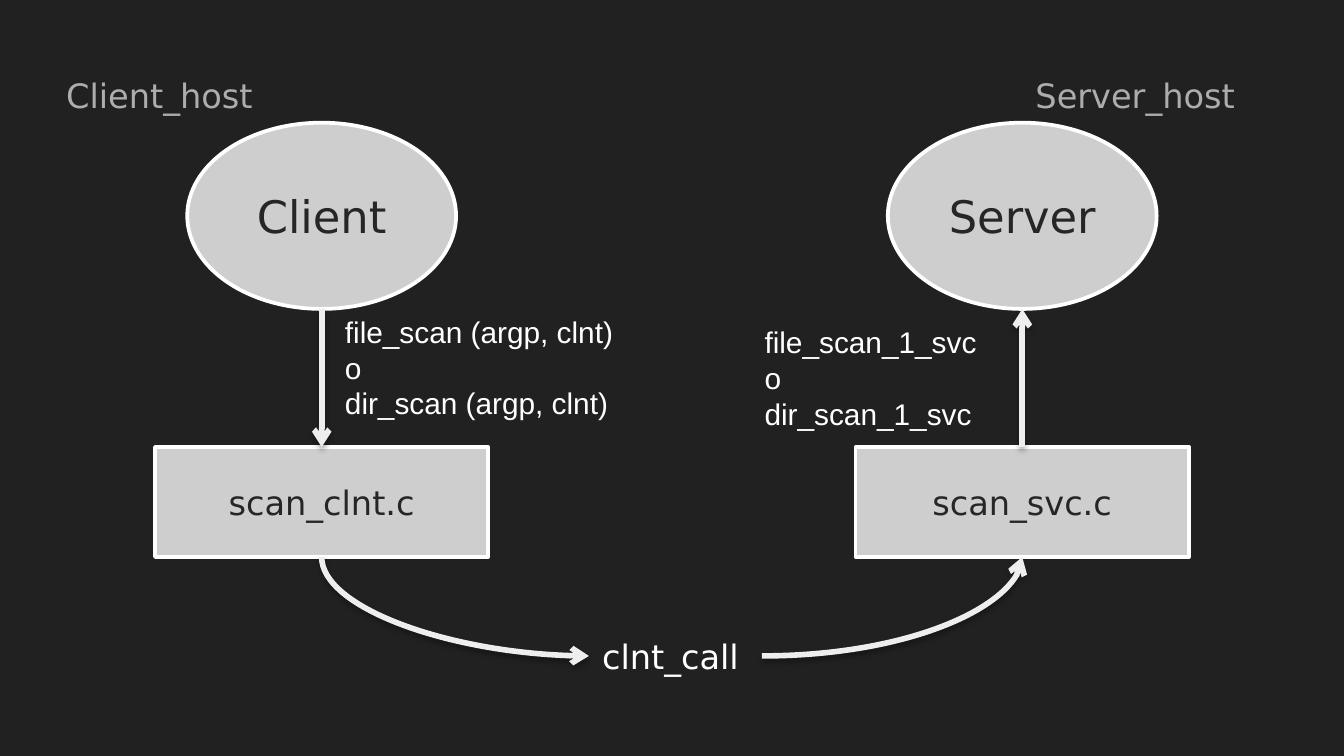
from dataclasses import dataclass

from lxml import etree
from pptx import Presentation
from pptx.dml import color
from pptx.enum import shapes, text
from pptx.oxml import ns
from pptx.util import Cm, Pt


@dataclass(frozen=True)
class Theme:
    background: str = "212121"
    fill: str = "CECECE"
    dark: str = "262626"
    light: str = "FFFFFF"
    muted: str = "ADADAD"
    arrow: str = "EEEEEE"
    sans: str = "DejaVu Sans"
    code: str = "Arial"
    large: int = 24
    medium: int = 18
    small: int = 16


THEME = Theme()
CLIENT_X, SERVER_X = 6.08, 19.32
ELLIPSE_TOP, ELLIPSE_BOTTOM = 2.32, 5.84
FILE_TOP, FILE_BOTTOM = 8.45, 10.53
CALL_LEFT, CALL_RIGHT, CALL_Y = 11.13, 14.4, 12.4


def rgb(value):
    return color.RGBColor.from_string(value)


def write(frame, lines, size, ink, font=THEME.sans, align=None):
    for index, line in enumerate(lines):
        para = frame.paragraphs[0] if index == 0 else frame.add_paragraph()
        para.alignment = align
        span = para.add_run()
        span.text = line
        span.font.size = Pt(size)
        span.font.name = font
        span.font.color.rgb = rgb(ink)


def add_node(page, kind, center, top, bottom, width, label, size):
    node = page.shapes.add_shape(
        kind, Cm(center - width / 2), Cm(top), Cm(width), Cm(bottom - top))
    node.shadow.inherit = False
    node.fill.solid()
    node.fill.fore_color.rgb = rgb(THEME.fill)
    node.line.color.rgb = rgb(THEME.light)
    node.line.width = Pt(2)
    node.text_frame.vertical_anchor = text.MSO_ANCHOR.MIDDLE
    write(node.text_frame, [label], size, THEME.dark, align=text.PP_ALIGN.CENTER)


def add_label(page, left, top, width, height, lines, size, ink, font=THEME.sans):
    box = page.shapes.add_textbox(Cm(left), Cm(top), Cm(width), Cm(height))
    box.text_frame.word_wrap = True
    box.text_frame.auto_size = text.MSO_AUTO_SIZE.SHAPE_TO_FIT_TEXT
    write(box.text_frame, lines, size, ink, font)


def add_arrow(page, start, end, kind=shapes.MSO_CONNECTOR.STRAIGHT):
    arrow = page.shapes.add_connector(kind, *map(Cm, (*start, *end)))
    arrow.line.color.rgb = rgb(THEME.arrow)
    arrow.line.width = Pt(3)
    etree.SubElement(arrow.line._get_or_add_ln(), ns.qn("a:tailEnd"), type="arrow")
    effects = etree.SubElement(arrow._element.spPr, ns.qn("a:effectLst"))
    shadow = etree.SubElement(
        effects, ns.qn("a:outerShdw"), blurRad=str(Pt(3.1)), dist=str(Pt(1.8)),
        dir="5400000", rotWithShape="0")
    tint = etree.SubElement(shadow, ns.qn("a:srgbClr"), val="000000")
    etree.SubElement(tint, ns.qn("a:alpha"), val="35000")
    return arrow


def add_curve(page, start, end, leaves_down=False):
    if leaves_down:
        middle_x, middle_y = (start[0] + end[0]) / 2, (start[1] + end[1]) / 2
        half_x, half_y = (end[0] - start[0]) / 2, (end[1] - start[1]) / 2
        start = middle_x + half_y, middle_y - half_x
        end = middle_x - half_y, middle_y + half_x
    curve = add_arrow(page, start, end, shapes.MSO_CONNECTOR.CURVE)
    properties = curve._element.spPr
    properties.find(ns.qn("a:prstGeom")).set("prst", "curvedConnector2")
    if leaves_down:
        properties.find(ns.qn("a:xfrm")).set("rot", "16200000")


def main():
    deck = Presentation()
    deck.slide_width, deck.slide_height = Cm(25.4), Cm(14.29)
    page = deck.slides.add_slide(deck.slide_layouts[6])
    page.background.fill.solid()
    page.background.fill.fore_color.rgb = rgb(THEME.background)

    for center, role, source in ((CLIENT_X, "Client", "scan_clnt.c"),
                                 (SERVER_X, "Server", "scan_svc.c")):
        add_node(page, shapes.MSO_SHAPE.OVAL, center, ELLIPSE_TOP, ELLIPSE_BOTTOM,
                 5.08, role, THEME.large)
        add_node(page, shapes.MSO_SHAPE.RECTANGLE, center, FILE_TOP, FILE_BOTTOM,
                 6.3, source, THEME.medium)

    add_arrow(page, (CLIENT_X, ELLIPSE_BOTTOM), (CLIENT_X, FILE_TOP))
    add_arrow(page, (SERVER_X, FILE_TOP), (SERVER_X, ELLIPSE_BOTTOM))

    for left, host in ((1, "Client_host"), (SERVER_X, "Server_host")):
        add_label(page, left, 1.3, 5.08, 1.02, [host], THEME.medium, THEME.muted)

    for left, top, width, calls in (
            (6.27, 5.8, 6.58, ["file_scan (argp, clnt)", "o", "dir_scan (argp, clnt)"]),
            (14.2, 6, 9.68, ["file_scan_1_svc", "o", "dir_scan_1_svc"])):
        add_label(page, left, top, width, 2.31, calls, THEME.small, THEME.light, THEME.code)

    add_curve(page, (CLIENT_X, FILE_BOTTOM), (CALL_LEFT, CALL_Y), leaves_down=True)
    add_label(page, CALL_LEFT, 11.89, CALL_RIGHT - CALL_LEFT, 1.02, ["clnt_call"],
              THEME.medium, THEME.light)
    add_curve(page, (CALL_RIGHT, CALL_Y), (SERVER_X, FILE_BOTTOM))

    deck.save("out.pptx")


main()
